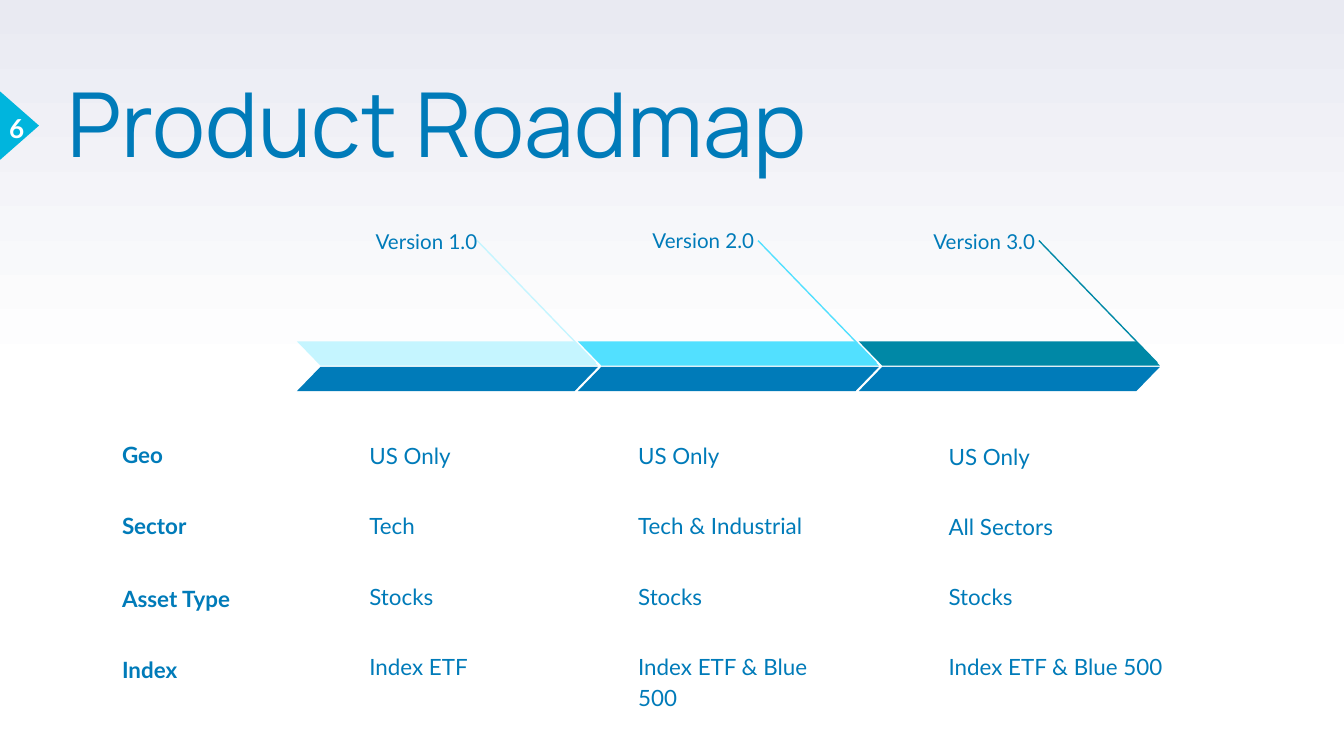
"""Build the product roadmap slide."""
from copy import deepcopy

from lxml import etree
from pptx import Presentation
from pptx.dml.color import RGBColor
from pptx.enum import shapes, text
from pptx.oxml.ns import qn
from pptx.util import Inches, Pt

BLUE, WHITE, CYAN = "007BB9", "FFFFFF", "00B5DD"
BACKGROUND = [(0, WHITE), (0.5, WHITE), (1, "E9EAF2")]
TITLE, PAGE = "Product Roadmap", "6"

CATEGORIES = [("Geo", 3.03), ("Sector", 3.56), ("Asset Type", 4.1), ("Index", 4.63)]
VERSIONS = [
    dict(name="Version 1.0", color="C5F5FF", label=(2.53, 1.58), left=2.65,
         tops=(3.16, 3.68, 4.21, 4.73), last_width=1.54,
         values=["US Only", "Tech", "Stocks", "Index ETF"]),
    dict(name="Version 2.0", color="52E0FF", label=(4.59, 1.57), left=4.65,
         tops=(3.16, 3.68, 4.21, 4.73), last_width=1.74,
         values=["US Only", "Tech & Industrial", "Stocks", "Index ETF & Blue 500"]),
    dict(name="Version 3.0", color="0088A6", label=(6.68, 1.58), left=6.96,
         tops=(3.17, 3.69, 4.21, 4.73), last_width=1.84,
         values=["US Only", "All Sectors", "Stocks", "Index ETF & Blue 500"]),
]
ARROW_LEFT, ARROW_STEP, ARROW_TOP = 2.21, 2.09, 2.54


def rgb(color):
    return RGBColor.from_string(color)


def style(paragraph, size, color=BLUE, bold=False, font="Lato"):
    paragraph.font.name = font
    paragraph.font.size = Pt(size)
    paragraph.font.bold = bold
    paragraph.font.color.rgb = rgb(color)


def add_text(slide, words, box, size=12, color=BLUE, bold=False, spacing=1.15, after=0,
             align=text.PP_ALIGN.LEFT, anchor=text.MSO_ANCHOR.TOP):
    frame = slide.shapes.add_textbox(*map(Inches, box)).text_frame
    frame.word_wrap = True
    frame.vertical_anchor = anchor
    frame.margin_left = frame.margin_right = Inches(0.1)
    frame.margin_top = frame.margin_bottom = Inches(0.1)
    paragraph = frame.paragraphs[0]
    paragraph.text = words
    paragraph.alignment = align
    paragraph.line_spacing = spacing
    paragraph.space_after = Pt(after)
    style(paragraph, size, color, bold)


def add_block(slide, preset, box, color, adjustment):
    block = slide.shapes.add_shape(preset, *map(Inches, box))
    block.adjustments[0] = adjustment
    block.fill.solid()
    block.fill.fore_color.rgb = rgb(color)
    block.line.fill.background()
    block.shadow.inherit = False
    return block


def add_leader(slide, left, color):
    leader = slide.shapes.add_connector(
        shapes.MSO_CONNECTOR.STRAIGHT, *map(Inches, (left, 1.79, left + 0.88, 2.7)))
    leader.line.color.rgb = rgb(color)
    leader.line.width = Pt(0.75)
    etree.SubElement(leader._element.spPr, qn("a:effectLst"))


def paint_background(slide):
    fill = slide.background.fill
    fill.gradient()
    fill.gradient_angle = 90
    stop_list = slide.element.find(".//" + qn("a:gsLst"))
    stop_list.append(deepcopy(stop_list[-1]))
    for stop, (position, color) in zip(fill.gradient_stops, BACKGROUND):
        stop.position = position
        stop.color.rgb = rgb(color)


def add_title(slide):
    title = slide.shapes.title
    title.left, title.top, title.width, title.height = map(Inches, (0.5, 0.66, 6.17, 0.59))
    frame = title.text_frame
    frame.margin_left = frame.margin_right = frame.margin_top = frame.margin_bottom = 0
    frame.vertical_anchor = text.MSO_ANCHOR.TOP
    frame.word_wrap = True
    frame.auto_size = text.MSO_AUTO_SIZE.NONE
    paragraph = frame.paragraphs[0]
    paragraph.text = TITLE
    paragraph.alignment = text.PP_ALIGN.LEFT
    paragraph.line_spacing = 0.8
    paragraph.space_before = Pt(0)
    style(paragraph, 48, font="Manrope")


def add_version(slide, index, version):
    arrow_left = ARROW_LEFT + index * ARROW_STEP
    add_leader(slide, arrow_left + 1.34, version["color"])
    parallelogram = shapes.MSO_SHAPE.PARALLELOGRAM
    upper = add_block(slide, parallelogram, (arrow_left, ARROW_TOP, 2.24, 0.18),
                      version["color"], 0.97)
    upper._element.spPr.find(qn("a:xfrm")).set("flipH", "1")
    add_block(slide, parallelogram, (arrow_left, ARROW_TOP + 0.19, 2.24, 0.18), BLUE, 0.97)
    add_text(slide, version["name"], (*version["label"], 1.12, 0.29), size=11, after=16,
             align=text.PP_ALIGN.RIGHT)
    widths = [1.54] * 3 + [version["last_width"]]
    for value, top, width in zip(version["values"], version["tops"], widths):
        add_text(slide, value, (version["left"], top, width, 0.41), after=16)


def main():
    deck = Presentation()
    deck.slide_width = Inches(10)
    deck.slide_height = deck.slide_width * 9 // 16
    slide = deck.slides.add_slide(deck.slide_layouts[5])
    paint_background(slide)
    marker = add_block(slide, shapes.MSO_SHAPE.ISOSCELES_TRIANGLE,
                       (-0.11, 0.79, 0.51, 0.29), CYAN, 0.5)
    marker.rotation = 90
    add_title(slide)
    for index, version in enumerate(VERSIONS):
        add_version(slide, index, version)
    for category, top in CATEGORIES:
        add_text(slide, category, (0.81, top, 1.84, 0.55), bold=True,
                 anchor=text.MSO_ANCHOR.BOTTOM)
    add_text(slide, PAGE, (-0.03, 0.72, 0.26, 0.46), size=14, color=WHITE, bold=True,
             spacing=1.0, align=text.PP_ALIGN.CENTER, anchor=text.MSO_ANCHOR.MIDDLE)
    deck.save("out.pptx")


if __name__ == "__main__":
    main()
